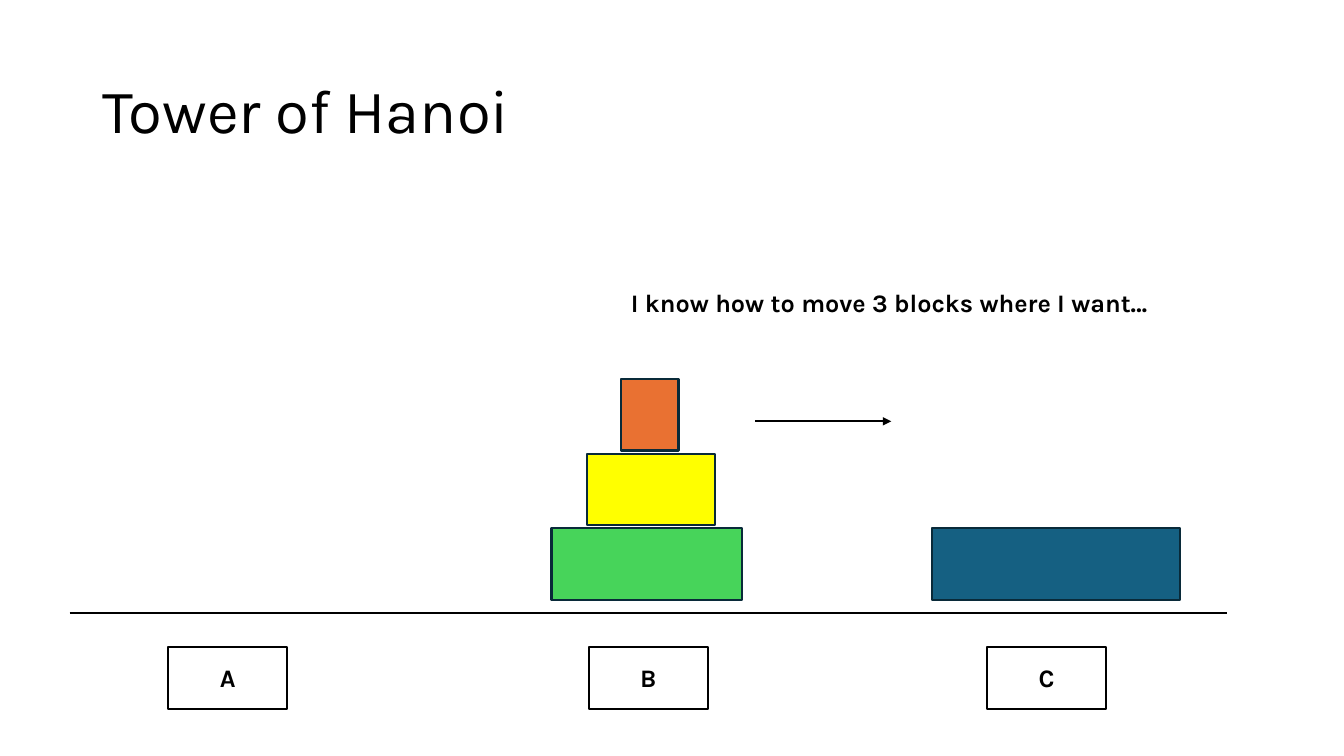
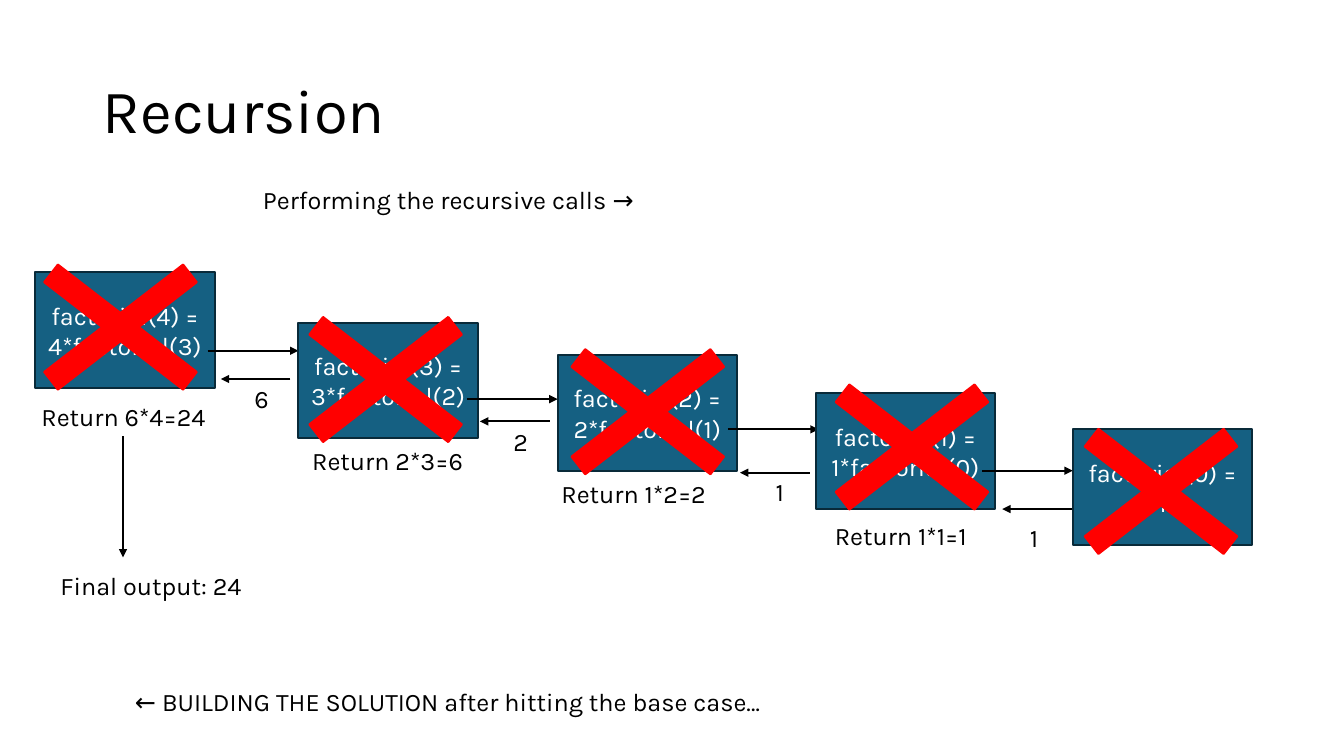
from dataclasses import dataclass

from lxml.etree import SubElement
from pptx import Presentation
from pptx.dml.color import RGBColor
from pptx.enum.shapes import MSO_CONNECTOR, MSO_SHAPE
from pptx.enum.text import MSO_ANCHOR, MSO_AUTO_SIZE, PP_ALIGN
from pptx.oxml.ns import qn
from pptx.util import Inches, Pt

COLORS = {
    "ink": "000000",
    "paper": "FFFFFF",
    "blue": "156082",
    "edge": "092A39",
    "green": "47D45A",
    "yellow": "FFFF00",
    "orange": "E97132",
    "red": "FF0000",
}
FONT = "Karla"
TITLE_BOX = (0.92, 0.4, 11.5, 1.45)
BLOCK_H = 0.71
BLOCK_STEP = 0.74
CALL_W, CALL_H = 1.78, 1.15
CROSS_W, CROSS_H = 2.65, 2.05


@dataclass
class Call:
    """One stack frame: its place, and its parts as offsets from there."""
    text: str
    left: float
    top: float
    cross: tuple
    call: tuple = None
    back: tuple = None
    value: str = ""
    value_at: tuple = None
    result: str = ""
    result_at: tuple = None

    def at(self, offset):
        """Return the slide position of an offset from the frame."""
        return self.left + offset[0], self.top + offset[1]


CALLS = [
    Call("factorial(4) = 4*factorial(3)", 0.35, 2.7, (-0.48, -0.48),
         (1.71, 0.78), (2.53, 1.06), "6", (1.94, 1.05),
         "Return 6*4=24", (-0.06, 1.23)),
    Call("factorial(3) = 3*factorial(2)", 2.96, 3.2, (-0.46, -0.46),
         (1.67, 0.76), (2.49, 0.98), "2", (1.9, 0.98),
         "Return 2*3=6", (-0.05, 1.17)),
    Call("factorial(2) = 2*factorial(1)", 5.53, 3.52, (-0.43, -0.46),
         (1.69, 0.74), (2.5, 1.17), "1", (1.9, 1.16),
         "Return 1*2=2", (-0.18, 1.18)),
    Call("factorial(1) = 1*factorial(0)", 8.09, 3.9, (-0.37, -0.49),
         (1.65, 0.77), (2.54, 1.15), "1", (1.86, 1.23),
         "Return 1*1=1", (-0.09, 1.21)),
    Call("factorial(0) = 1", 10.64, 4.26, (-0.45, -0.41)),
]


def rgb(name):
    """Look up a palette colour."""
    return RGBColor.from_string(COLORS[name])


def write(tf, text, size=18, color="ink", bold=False, align=PP_ALIGN.LEFT):
    """Write one formatted run into a text frame."""
    tf.word_wrap = True
    p = tf.paragraphs[0]
    p.alignment = align
    r = p.add_run()
    r.text = text
    r.font.name = FONT
    r.font.size = Pt(size)
    r.font.bold = bold
    r.font.color.rgb = rgb(color)
    return p


def add_shape(s, kind, box, fill, line, text="", **style):
    """Add a filled, outlined shape with optional centred text."""
    sp = s.shapes.add_shape(kind, *map(Inches, box))
    sp.shadow.inherit = False
    sp.fill.solid()
    sp.fill.fore_color.rgb = rgb(fill)
    sp.line.color.rgb = rgb(line)
    sp.line.width = Pt(1.5)
    if text:
        sp.text_frame.vertical_anchor = MSO_ANCHOR.MIDDLE
        write(sp.text_frame, text, align=PP_ALIGN.CENTER, **style)
    return sp


def add_label(s, left, top, width, text, **style):
    """Add a one-line text box."""
    sp = s.shapes.add_textbox(*map(Inches, (left, top, width, 0.4)))
    write(sp.text_frame, text, **style)
    sp.text_frame.auto_size = MSO_AUTO_SIZE.SHAPE_TO_FIT_TEXT


def add_line(s, start, dx=0, dy=0, arrow=True):
    """Draw a straight line from a start point, with an arrowhead if asked."""
    x, y = start
    ends = map(Inches, (x, y, x + dx, y + dy))
    cxn = s.shapes.add_connector(MSO_CONNECTOR.STRAIGHT, *ends)
    cxn.line.color.rgb = rgb("ink")
    cxn.line.width = Pt(1.5)
    if arrow:
        SubElement(cxn.line._get_or_add_ln(), qn("a:tailEnd"), type="triangle")
    SubElement(cxn._element.spPr, qn("a:effectLst"))


def add_slide(prs, title):
    """Add a title-only slide with the shared title style."""
    s = prs.slides.add_slide(prs.slide_layouts[5])
    sp = s.shapes.title
    sp.left, sp.top, sp.width, sp.height = map(Inches, TITLE_BOX)
    sp.text_frame.vertical_anchor = MSO_ANCHOR.MIDDLE
    write(sp.text_frame, title, size=44).line_spacing = 0.9
    return s


def add_tower(s, base, blocks):
    """Stack blocks of (left, width, colour) upwards from a base top."""
    for level, (left, width, fill) in enumerate(blocks):
        box = (left, base - level * BLOCK_STEP, width, BLOCK_H)
        add_shape(s, MSO_SHAPE.RECTANGLE, box, fill, "edge")


def add_pegs(s, top, pegs):
    """Draw the ground line and the peg names below it."""
    add_line(s, (0.69, top), dx=11.48, arrow=False)
    for name, left in pegs:
        box = (left, top + 0.34, 1.18, 0.61)
        add_shape(s, MSO_SHAPE.RECTANGLE, box, "paper", "ink", name, bold=True)


def add_call(s, c):
    """Draw a frame and the arrow to the next call."""
    box = (c.left, c.top, CALL_W, CALL_H)
    add_shape(s, MSO_SHAPE.RECTANGLE, box, "blue", "edge", c.text, color="paper")
    if c.call:
        add_line(s, c.at(c.call), dx=0.9)


def add_return(s, c):
    """Cross a frame out and show what it receives and returns."""
    box = (*c.at(c.cross), CROSS_W, CROSS_H)
    sp = add_shape(s, MSO_SHAPE.MATH_MULTIPLY, box, "red", "red")
    sp.adjustments[0] = 0.108
    if c.back:
        add_line(s, c.at(c.back), dx=-0.69)
        add_label(s, *c.at(c.value_at), 0.61, c.value, align=PP_ALIGN.CENTER)
        add_label(s, *c.at(c.result_at), 1.87, c.result, align=PP_ALIGN.CENTER)


def hanoi_slide(prs):
    """Build the Tower of Hanoi slide."""
    s = add_slide(prs, "Tower of Hanoi")
    add_tower(s, 5.24, [(9.24, 2.46, "blue")])
    add_tower(s, 5.24, [(5.47, 1.89, "green"), (5.82, 1.27, "yellow"),
                        (6.16, 0.57, "orange")])
    add_pegs(s, 6.08, [("A", 1.67), ("B", 5.84), ("C", 9.79)])
    add_line(s, (7.49, 4.18), dx=1.35)
    add_label(s, 6.16, 2.8, 5.33, "I know how to move 3 blocks where I want…",
              bold=True)


def recursion_slide(prs):
    """Build the recursion slide."""
    s = add_slide(prs, "Recursion")
    for c in CALLS:
        add_call(s, c)
    for c in reversed(CALLS):
        add_return(s, c)
    add_label(s, 2.51, 1.78, 10.5, "Performing the recursive calls →")
    add_label(s, 1.24, 6.76, 10.96,
              "← BUILDING THE SOLUTION after hitting the base case…")
    add_line(s, (1.22, 4.33), dy=1.2)
    add_label(s, 0.5, 5.61, 2.25, "Final output: 24")


def main():
    """Build and save the presentation."""
    prs = Presentation()
    prs.slide_width, prs.slide_height = Inches(13.33), Inches(7.5)
    hanoi_slide(prs)
    recursion_slide(prs)
    prs.save("out.pptx")


if __name__ == "__main__":
    main()
